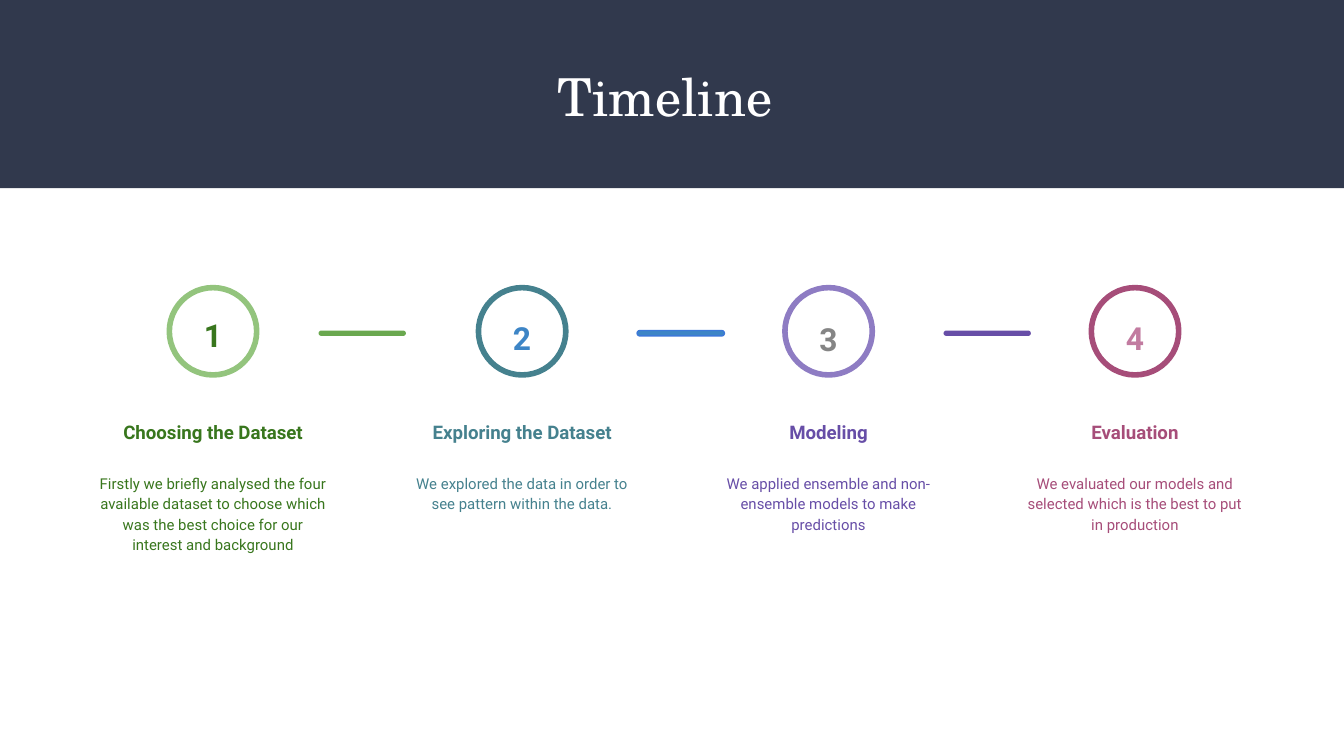
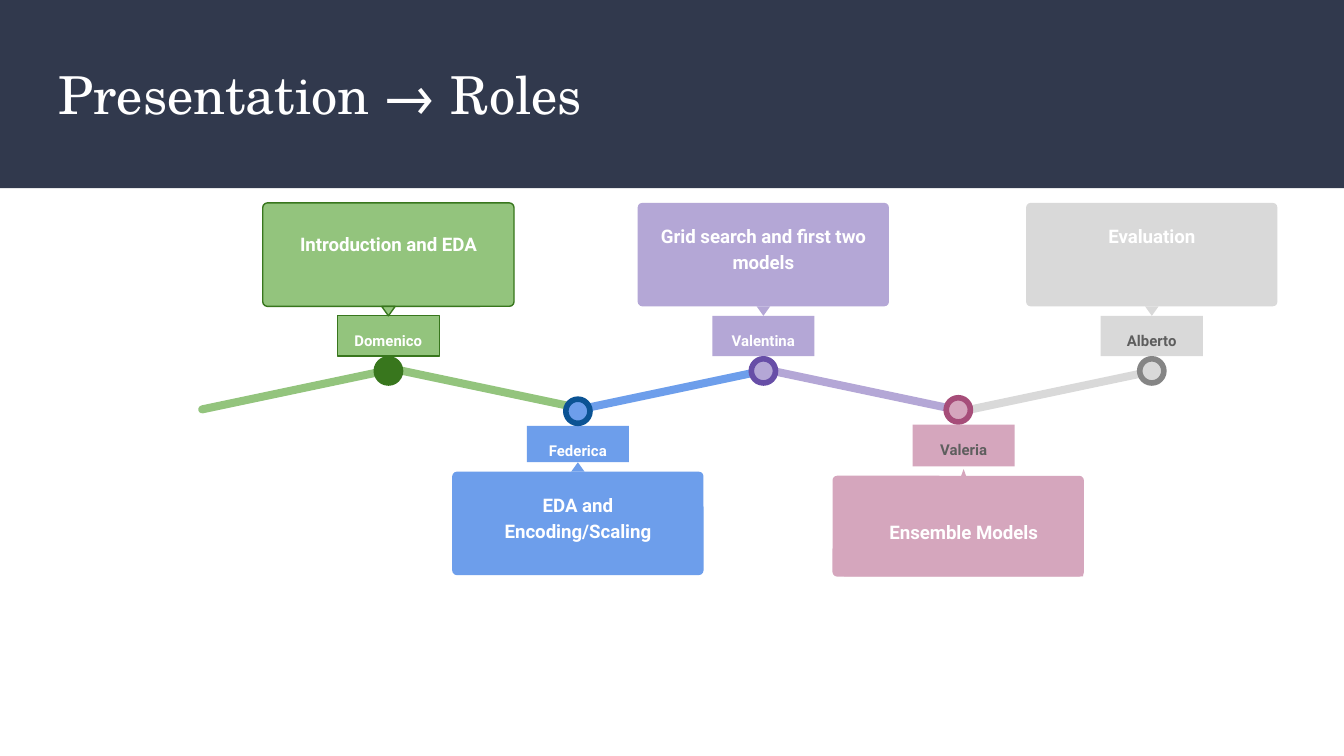
from dataclasses import dataclass

from pptx import Presentation
from pptx.dml.color import RGBColor
from pptx.enum.shapes import MSO_SHAPE
from pptx.enum.text import MSO_ANCHOR, MSO_AUTO_SIZE, PP_ALIGN
from pptx.util import Inches, Pt

RECT = MSO_SHAPE.RECTANGLE
ROUNDED = MSO_SHAPE.ROUNDED_RECTANGLE
OVAL = MSO_SHAPE.OVAL
TRIANGLE = MSO_SHAPE.ISOSCELES_TRIANGLE
TOP, MIDDLE, BOTTOM = MSO_ANCHOR.TOP, MSO_ANCHOR.MIDDLE, MSO_ANCHOR.BOTTOM
LEFT, CENTER = PP_ALIGN.LEFT, PP_ALIGN.CENTER

COLUMNS, ROWS = 100, 56.25
CELL = Inches(10) / COLUMNS
BODY_FONT, TITLE_FONT = "Roboto", "TeX Gyre Schola"
NAVY, WHITE, GRAY_TEXT = "31394D", "FFFFFF", "5E5E5E"
LIGHT_GREEN, GREEN = "93C47D", "38761D"
TEAL, BLUE, LILAC, PURPLE = "45818E", "6D9EEB", "B4A7D6", "674EA7"
PINK, PLUM, SILVER, GRAY = "D5A6BD", "A64D79", "D9D9D9", "858585"


@dataclass
class Step:
    number: str
    heading: str
    detail: str
    center: float
    ring: str
    number_color: str
    text_color: str
    number_top: float
    number_height: float
    detail_width: float = 18.7


@dataclass
class Layout:
    dot: float
    tag: float
    tag_height: float
    card: float
    card_height: float
    role: float
    pointer: float
    pointer_width: float = 1
    pointer_turn: float = 0
    role_anchor: MSO_ANCHOR = TOP
    shift: float = 0


@dataclass
class Speaker:
    name: str
    role: str
    center: float
    layout: Layout
    fill: str
    ring: str
    name_color: str = WHITE
    dot_fill: str = None
    edge: str = None
    spacing: float = 1.15
    after: float = 16


ABOVE = Layout(26.7, 23.5, 3, 15.1, 7.7, 15.5, 22.8, pointer_turn=180)
BELOW = Layout(29.7, 31.7, 2.7, 35.1, 7.7, 35.5, 34.4)
BELOW_SHIFTED = Layout(29.6, 31.6, 3.1, 35.4, 7.5, 36.1, 34.9,
                       pointer_width=0.5, role_anchor=MIDDLE, shift=0.4)

STEPS = [
    Step("1", "Choosing the Dataset",
         "Firstly we briefly analysed the four available dataset to choose "
         "which was the best choice for our interest and background",
         15.85, LIGHT_GREEN, GREEN, GREEN, 22.1, 2, 19.2),
    Step("2", "Exploring the Dataset",
         "We explored the data in order to see pattern within the data.",
         38.85, TEAL, "3D85C6", TEAL, 22.3, 2.2),
    Step("3", "Modeling",
         "We applied ensemble and non-ensemble models to make predictions",
         61.65, "8E7CC3", GRAY, PURPLE, 22.4, 2.2),
    Step("4", "Evaluation",
         "We evaluated our models and selected which is the best to put "
         "in production",
         84.45, PLUM, "C27BA0", PLUM, 22.3, 2.7),
]
BARS = [(26.95, "6AA84F", None), (50.65, "3D85C6", "3C78D8"),
        (73.45, PURPLE, None)]

PATHS = [(79.2, SILVER), (64.1, LILAC), (50.1, BLUE),
         (36.6, LIGHT_GREEN), (22, LIGHT_GREEN)]
PATH_SLOPE = 11.9
SPEAKERS = [
    Speaker("Domenico", "Introduction and EDA", 28.9, ABOVE, LIGHT_GREEN,
            GREEN, dot_fill=GREEN, edge=GREEN, spacing=1.5, after=12),
    Speaker("Federica", "EDA and Encoding/Scaling", 43, BELOW, BLUE, "0B5394"),
    Speaker("Valentina", "Grid search and first two models", 56.8, ABOVE,
            LILAC, PURPLE),
    Speaker("Valeria", "Ensemble Models", 71.3, BELOW_SHIFTED, PINK, PLUM,
            GRAY_TEXT),
    Speaker("Alberto", "Evaluation", 85.7, ABOVE, SILVER, GRAY, GRAY_TEXT),
]


def color(hex_value):
    return RGBColor.from_string(hex_value)


def box(center, top, width, height):
    cells = (center - width / 2, top, width, height)
    return [round(n * CELL) for n in cells]


def write(shape, text, size, ink, bold=False, font=BODY_FONT, align=CENTER,
          anchor=TOP, spacing=1.15, after=16):
    frame = shape.text_frame
    frame.word_wrap = True
    frame.auto_size = MSO_AUTO_SIZE.NONE
    frame.vertical_anchor = anchor
    frame.margin_left = frame.margin_right = Inches(0.1)
    frame.margin_top = frame.margin_bottom = Inches(0.1)
    paragraph = frame.paragraphs[0]
    paragraph.alignment = align
    paragraph.line_spacing = spacing
    paragraph.space_after = Pt(after)
    run = paragraph.add_run()
    run.text = text
    run.font.size = Pt(size)
    run.font.name = font
    run.font.bold = bold
    run.font.color.rgb = color(ink)


def add_text(slide, area, text, size, ink, **style):
    write(slide.shapes.add_textbox(*area), text, size, ink, **style)


def add_form(slide, kind, area, fill=None, line=None, weight=0.75,
             corner=None, turn=0):
    form = slide.shapes.add_shape(kind, *area)
    form.shadow.inherit = False
    form.rotation = turn
    if corner is not None:
        form.adjustments[0] = corner
    if fill:
        form.fill.solid()
        form.fill.fore_color.rgb = color(fill)
    else:
        form.fill.background()
    if line:
        form.line.color.rgb = color(line)
        form.line.width = Pt(weight)
    else:
        form.line.fill.background()
    return form


def add_titled_slide(deck, title, top, align):
    slide = deck.slides.add_slide(deck.slide_layouts[6])
    add_form(slide, RECT, box(COLUMNS / 2, 0, COLUMNS, 14), NAVY)
    add_text(slide, box(COLUMNS / 2, top, 93.2, 6.8), title, 28, WHITE,
             font=TITLE_FONT, align=align, spacing=1, after=0)
    return slide


def add_step(slide, step):
    add_form(slide, OVAL, box(step.center, 21.4, 6.5, 6.5),
             line=step.ring, weight=3)
    add_text(slide, box(step.center, step.number_top, 5, step.number_height),
             step.number, 17, step.number_color, bold=True)
    add_text(slide, box(step.center, 29.1, 18.7, 4.9), step.heading, 10,
             step.text_color, bold=True, anchor=BOTTOM, after=0)
    add_text(slide, box(step.center, 34.1, step.detail_width, 8.1),
             step.detail, 8, step.text_color)


def add_speaker(slide, speaker):
    layout = speaker.layout
    shifted = speaker.center + layout.shift
    add_form(slide, ROUNDED,
             box(speaker.center, layout.card, 18.7, layout.card_height),
             speaker.fill, speaker.edge, corner=0.045)
    role = add_form(slide, RECT, box(shifted, layout.role, 17.8, 6.8),
                    speaker.fill)
    write(role, speaker.role, 10, WHITE, bold=True, anchor=layout.role_anchor,
          spacing=speaker.spacing, after=speaker.after)
    tag = add_form(slide, RECT,
                   box(shifted, layout.tag, 7.6, layout.tag_height),
                   speaker.fill, speaker.edge)
    write(tag, speaker.name, 8, speaker.name_color, bold=True)
    add_form(slide, TRIANGLE,
             box(shifted, layout.pointer, layout.pointer_width, 0.7),
             speaker.fill, speaker.edge, turn=layout.pointer_turn)
    add_form(slide, OVAL, box(speaker.center, layout.dot, 1.8, 1.8),
             speaker.dot_fill or speaker.fill, speaker.ring, weight=3)


def build_timeline(deck):
    slide = add_titled_slide(deck, "Timeline ", 3.8, CENTER)
    for step in STEPS:
        add_step(slide, step)
    for center, fill, edge in BARS:
        add_form(slide, ROUNDED, box(center, 24.6, 6.5, 0.4), fill, edge,
                 corner=0.5)


def build_roles(deck):
    slide = add_titled_slide(deck, "Presentation → Roles", 3.6, LEFT)
    for index, (center, fill) in enumerate(PATHS):
        slope = PATH_SLOPE if index % 2 else -PATH_SLOPE
        add_form(slide, ROUNDED, box(center, 28.7, 14.8, 0.6), fill,
                 corner=0.5, turn=slope)
    for speaker in SPEAKERS:
        add_speaker(slide, speaker)


def main():
    deck = Presentation()
    deck.slide_width = round(COLUMNS * CELL)
    deck.slide_height = round(ROWS * CELL)
    build_timeline(deck)
    build_roles(deck)
    deck.save("out.pptx")


if __name__ == "__main__":
    main()
